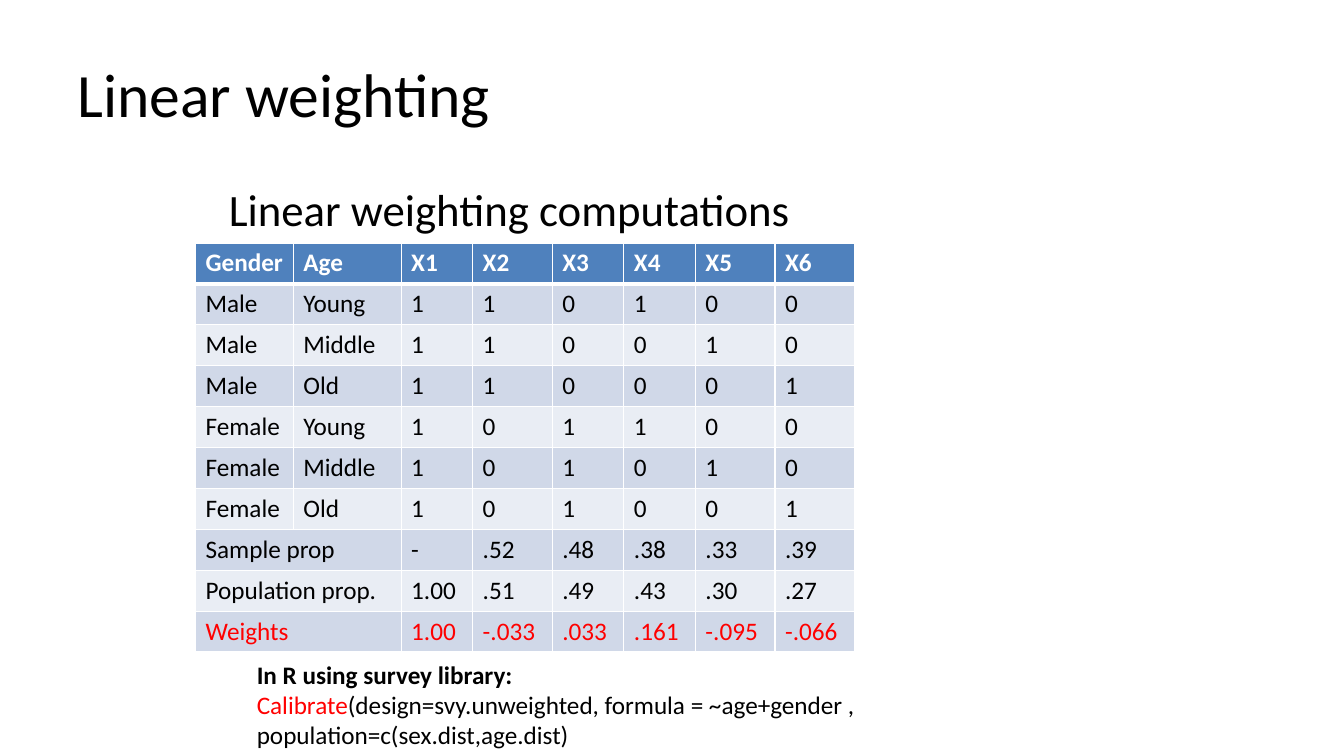
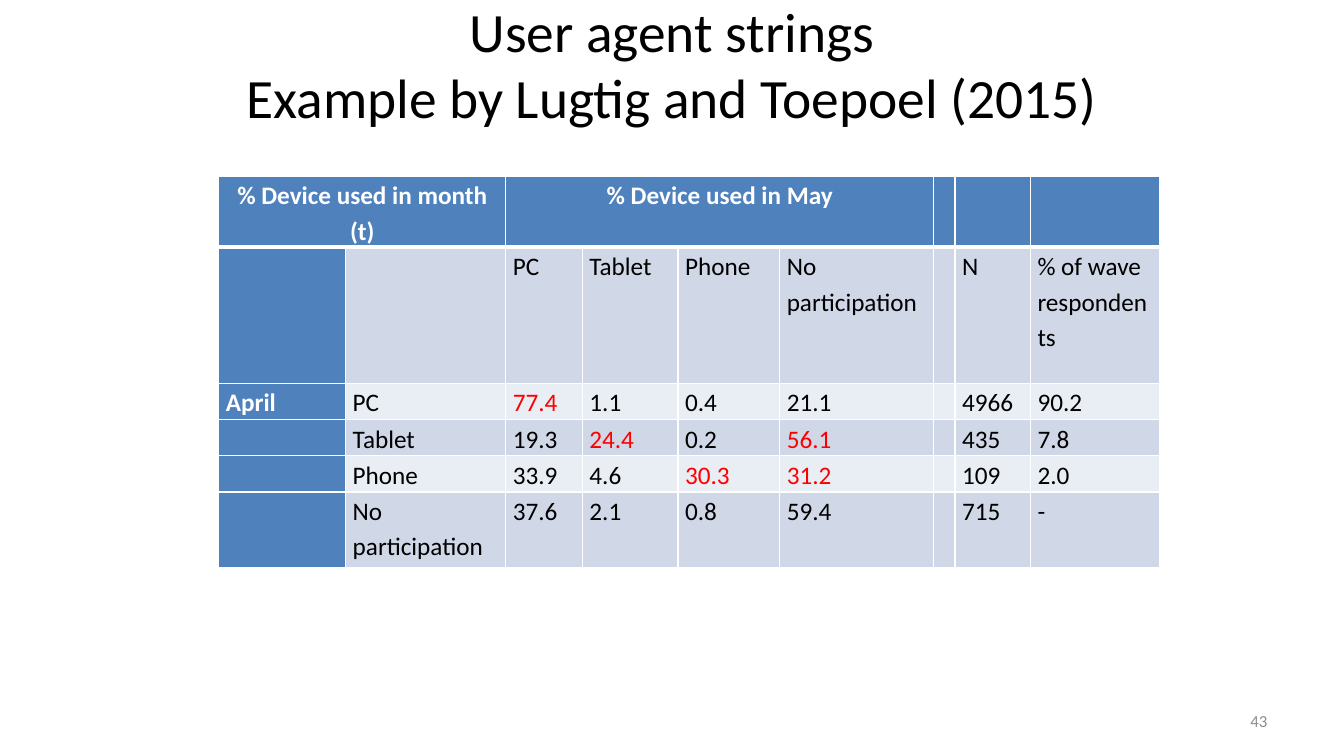
from lxml.etree import SubElement as Sub
from pptx import Presentation
from pptx.dml.color import RGBColor as RGB
from pptx.enum.text import MSO_ANCHOR as Anchor, MSO_AUTO_SIZE as Fit, PP_ALIGN as Align
from pptx.oxml.ns import qn
from pptx.util import Inches, Pt

# Shared style
FONT = "Calibri"
BLACK = RGB(0x00, 0x00, 0x00)
WHITE = RGB(0xFF, 0xFF, 0xFF)
RED = RGB(0xFF, 0x00, 0x00)
GREY = RGB(0x8C, 0x8C, 0x8C)
BLUE = RGB(0x4F, 0x81, 0xBD)
DARK = RGB(0xD0, 0xD8, 0xE8)
LIGHT = RGB(0xE9, 0xED, 0xF4)
WIDE, HIGH = Inches(13.333), Inches(7.5)

# Boxes: left, top, width, height in percent of the slide
TITLE = (5, 4, 90, 16.67)
PAGE = (71.7, 92.67, 23.33, 5.33)


def area(box):
    x, y, w, h = box
    return (int(WIDE * x / 100), int(HIGH * y / 100),
            int(WIDE * w / 100), int(HIGH * h / 100))


def move(shape, box):
    shape.left, shape.top, shape.width, shape.height = area(box)


def write(para, text, size=18, color=BLACK, bold=False, align=Align.LEFT, space=None):
    """Add one run of text to a paragraph and format both."""
    run = para.add_run()
    run.text = text
    run.font.name, run.font.size = FONT, Pt(size)
    run.font.bold, run.font.color.rgb = bold, color
    para.alignment = align
    if space:
        para.line_spacing = space


def indent(para, left):
    """Set the left margin of a paragraph and drop its bullet."""
    props = para._p.get_or_add_pPr()
    props.set("marL", str(Inches(left)))
    props.set("indent", "0")
    Sub(props, qn("a:buNone"))


def head(slide, lines, size, align=Align.LEFT, foot=0.05):
    title = slide.shapes.title
    move(title, TITLE)
    frame = title.text_frame
    frame.auto_size, frame.vertical_anchor = Fit.NONE, Anchor.MIDDLE
    frame.margin_bottom = Inches(foot)
    for i, line in enumerate(lines):
        para = frame.add_paragraph() if i else frame.paragraphs[0]
        write(para, line, size=size, align=align)


def label(slide, box):
    """Add a wrapping text box and return its frame."""
    frame = slide.shapes.add_textbox(*area(box)).text_frame
    frame.word_wrap = True
    return frame


def edge(cell, top, base):
    """Draw white borders around a cell, with top and base widths in points."""
    props = cell._tc.get_or_add_tcPr()
    for tag, width in (("lnL", 1), ("lnR", 1), ("lnT", top), ("lnB", base)):
        line = Sub(props, qn("a:" + tag), w=str(Pt(width)))
        fill = Sub(line, qn("a:solidFill"))
        Sub(fill, qn("a:srgbClr"), val=str(WHITE))


def grid(slide, box, rows, cols, highs, spans, reds, side=False, pad=(0.1, 0.05), space=None):
    """Add a banded table; cols and highs are relative sizes within the box."""
    x, y, w, h = area(box)
    table = slide.shapes.add_table(len(rows), len(cols), x, y, w, h).table
    table.first_row = table.horz_banding = False
    for col, part in zip(table.columns, cols):
        col.width = int(w * part / sum(cols))
    for row, part in zip(table.rows, highs):
        row.height = int(h * part / sum(highs))
    for r, c, count in spans:
        table.cell(r, c).merge(table.cell(r, c + count - 1))
    for r, row in enumerate(rows):
        for c, text in enumerate(row):
            cell = table.cell(r, c)
            first = r == 0 or (side and c == 0)
            edge(cell, 3 if r == 1 else 1, 3 if r == 0 else 1)
            cell.fill.solid()
            cell.fill.fore_color.rgb = BLUE if first else DARK if r % 2 else LIGHT
            cell.margin_left = cell.margin_right = Inches(pad[0])
            cell.margin_top = cell.margin_bottom = Inches(pad[1])
            if text:
                color = WHITE if first else RED if (r, c) in reds else BLACK
                align = Align.CENTER if side and r == 0 else Align.LEFT
                write(cell.text_frame.paragraphs[0], text, color=color,
                      bold=first, align=align, space=space)


def linear(deck):
    slide = deck.slides.add_slide(deck.slide_layouts[1])
    head(slide, ["Linear weighting"], 44)

    # Caption
    body = slide.placeholders[1]
    move(body, (16.28, 23.33, 67.5, 76))
    body.text_frame.auto_size = Fit.NONE
    para = body.text_frame.paragraphs[0]
    indent(para, 0)
    write(para, "Linear weighting computations", size=32)

    # Weights
    rows = [
        ["Gender", "Age", "X1", "X2", "X3", "X4", "X5", "X6"],
        ["Male", "Young", "1", "1", "0", "1", "0", "0"],
        ["Male", "Middle", "1", "1", "0", "0", "1", "0"],
        ["Male", "Old", "1", "1", "0", "0", "0", "1"],
        ["Female", "Young", "1", "0", "1", "1", "0", "0"],
        ["Female", "Middle", "1", "0", "1", "0", "1", "0"],
        ["Female", "Old", "1", "0", "1", "0", "0", "1"],
        ["Sample prop", "", "-", ".52", ".48", ".38", ".33", ".39"],
        ["Population prop.", "", "1.00", ".51", ".49", ".43", ".30", ".27"],
        ["Weights", "", "1.00", "-.033", ".033", ".161", "-.095", "-.066"],
    ]
    last = len(rows) - 1
    grid(slide, (14.55, 32.13, 49.05, 54.13), rows,
         cols=[0.97, 1.07, 0.71, 0.79, 0.71, 0.71, 0.79, 0.79], highs=[1] * len(rows),
         spans=[(r, 0, 2) for r in (7, 8, 9)], reds={(last, c) for c in range(8)})

    # Code
    frame = label(slide, (14.62, 86.53, 68.4, 13.47))
    note, code = frame.paragraphs[0], frame.add_paragraph()
    for para in (note, code):
        indent(para, 0.5)
    write(note, "In R using survey library:", bold=True)
    write(code, "Calibrate", color=RED)
    write(code, "(design=svy.unweighted, formula = ~age+gender , "
                "population=c(sex.dist,age.dist)")


def agents(deck):
    slide = deck.slides.add_slide(deck.slide_layouts[5])
    head(slide, ["User agent strings", "Example by Lugtig and Toepoel (2015)"],
         39.6, align=Align.CENTER, foot=0.64)

    # Devices
    rows = [
        ["% Device used in month (t)", "", "% Device used in May", "", "", "", "", "", ""],
        ["", "", "PC", "Tablet", "Phone", "No participation", "", "N",
         "% of wave respondents"],
        ["April", "PC", "77.4", "1.1", "0.4", "21.1", "", "4966", "90.2"],
        ["", "Tablet", "19.3", "24.4", "0.2", "56.1", "", "435", "7.8"],
        ["", "Phone", "33.9", "4.6", "30.3", "31.2", "", "109", "2.0"],
        ["", "No participation", "37.6", "2.1", "0.8", "59.4", "", "715", "-"],
    ]
    grid(slide, (16.28, 23.33, 70, 51.73), rows,
         cols=[1.26, 1.59, 0.76, 0.95, 1.01, 1.53, 0.21, 0.75, 1.28],
         highs=[0.7, 1.35, 0.36, 0.36, 0.36, 0.75],
         spans=[(0, 0, 2), (0, 2, 4)], reds={(2, 2), (3, 3), (3, 5), (4, 4), (4, 5)},
         side=True, pad=(0.07, 0), space=1.15)

    # Page number
    frame = label(slide, PAGE)
    frame.vertical_anchor = Anchor.MIDDLE
    write(frame.paragraphs[0], "43", size=12, color=GREY, align=Align.RIGHT)


def main():
    deck = Presentation()
    deck.slide_width, deck.slide_height = WIDE, HIGH
    linear(deck)
    agents(deck)
    deck.save("out.pptx")


if __name__ == "__main__":
    main()
